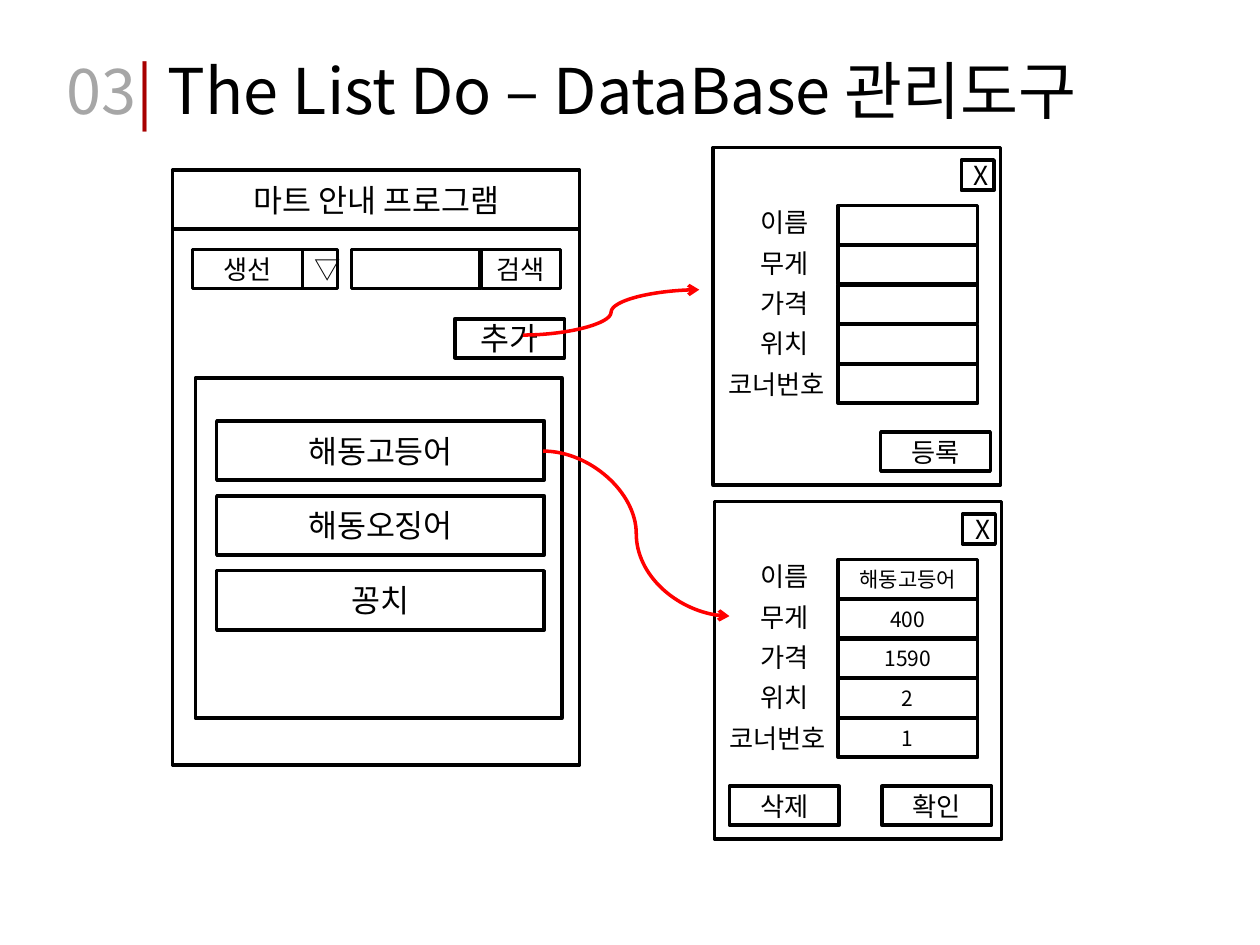
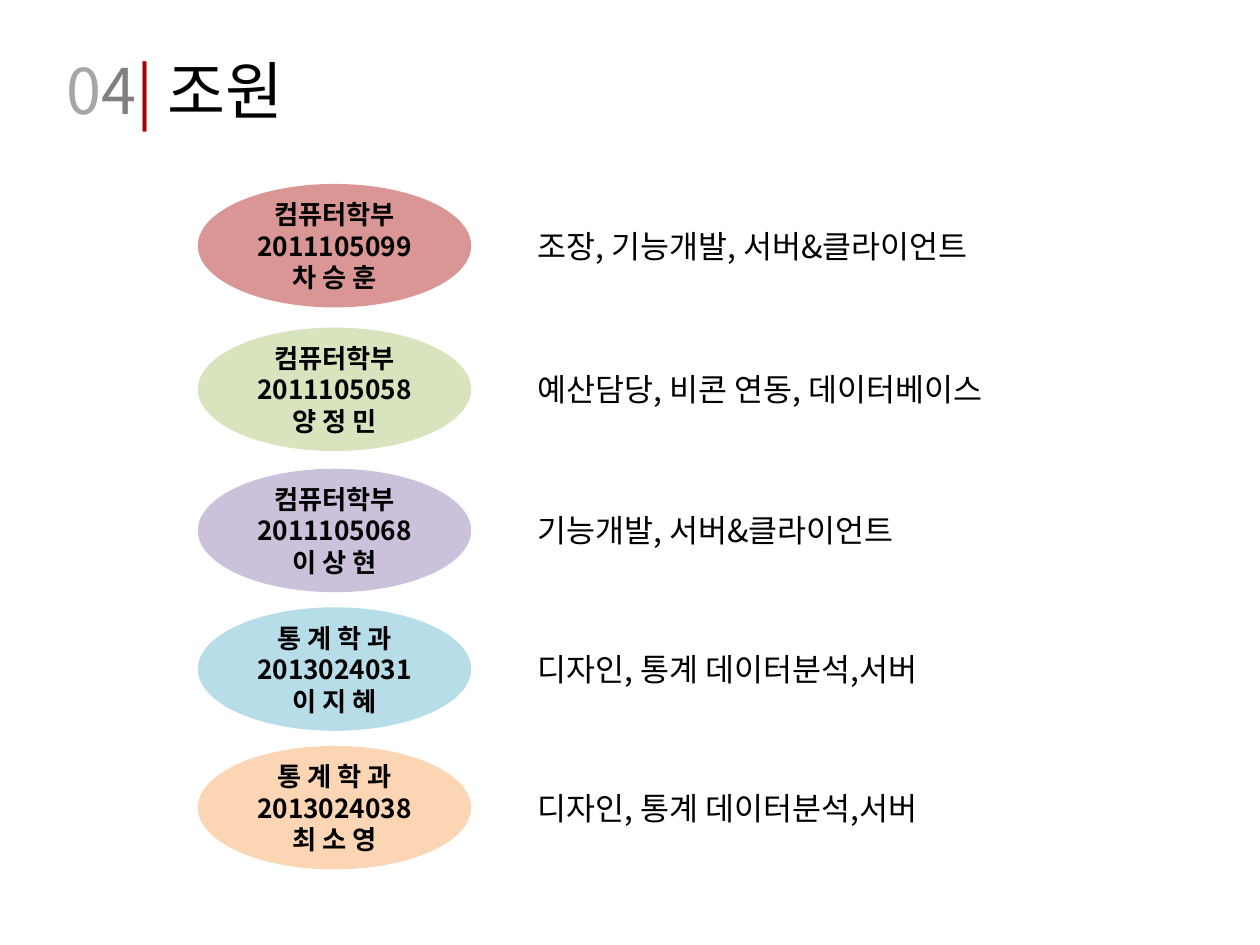
from lxml import etree
from pptx import Presentation
from pptx.dml.color import RGBColor
from pptx.enum.shapes import MSO_CONNECTOR, MSO_SHAPE
from pptx.enum.text import MSO_ANCHOR, MSO_AUTO_SIZE, PP_ALIGN
from pptx.oxml.ns import qn
from pptx.util import Inches, Pt

RECT = MSO_SHAPE.RECTANGLE
OVAL = MSO_SHAPE.OVAL
CURVE = MSO_CONNECTOR.CURVE
LEFT, CENTER = PP_ALIGN.LEFT, PP_ALIGN.CENTER
TOP, MIDDLE = MSO_ANCHOR.TOP, MSO_ANCHOR.MIDDLE
GROW = MSO_AUTO_SIZE.SHAPE_TO_FIT_TEXT
TITLE_ONLY = 5

FONT = "Noto Sans CJK KR"
BLACK, RED, BAR = "000000", "FF0000", "A80000"
LIGHT_GRAY, DARK_GRAY = "A6A6A6", "808080"

FIELD_LABELS = ["이름", "무게", "가격", "위치", "코너번호"]
PRODUCTS = ["해동고등어", "해동오징어", "꽁치"]
MEMBERS = [
    (1.46, "D99694", ["컴퓨터학부", "2011105099", "차 승 훈"],
     "조장, 기능개발, 서버&클라이언트", 4.21),
    (2.6, "D7E4BD", ["컴퓨터학부", "2011105058", "양 정 민"],
     "예산담당, 비콘 연동, 데이터베이스", 3.78),
    (3.72, "CCC1DA", ["컴퓨터학부", "2011105068", "이 상 현"],
     "기능개발, 서버&클라이언트", 3.78),
    (4.82, "B7DEE8", ["통 계 학 과", "2013024031", "이 지 혜"],
     "디자인, 통계 데이터분석,서버", 3.78),
    (5.92, "FCD5B5", ["통 계 학 과", "2013024038", "최 소 영"],
     "디자인, 통계 데이터분석,서버", 3.78),
]


def rgb(color):
    return RGBColor.from_string(color)


def box(left, top, width, height):
    return Inches(left), Inches(top), Inches(width), Inches(height)


def add_run(p, text, size, color=BLACK, bold=False):
    r = p.add_run()
    r.text = text
    r.font.size = Pt(size)
    r.font.bold = bold
    r.font.color.rgb = rgb(color)
    r.font.name = FONT
    ea = etree.SubElement(r._r.get_or_add_rPr(), qn("a:ea"))
    ea.set("typeface", FONT)


def add_title(slide, width, runs):
    title = slide.shapes.title
    title.left, title.top, title.width, title.height = box(0.43, 0.36, width, 0.71)
    tf = title.text_frame
    tf.word_wrap = False
    tf.auto_size = GROW
    tf.vertical_anchor = TOP
    p = tf.paragraphs[0]
    p.alignment = LEFT
    for text, color in runs:
        add_run(p, text, 36, color)


def add_centered(sp, lines, size, bold=False):
    tf = sp.text_frame
    tf.word_wrap = True
    tf.vertical_anchor = MIDDLE
    for i, line in enumerate(lines):
        p = tf.add_paragraph() if i else tf.paragraphs[0]
        p.alignment = CENTER
        add_run(p, line, size, bold=bold)


def add_frame(shapes, left, top, width, height, text="", size=15):
    sp = shapes.add_shape(RECT, *box(left, top, width, height))
    sp.shadow.inherit = False
    sp.fill.background()
    sp.line.color.rgb = rgb(BLACK)
    sp.line.width = Pt(2)
    if text:
        add_centered(sp, [text], size)


def add_oval(shapes, top, color, lines):
    sp = shapes.add_shape(OVAL, *box(1.57, top, 2.17, 0.98))
    sp.shadow.inherit = False
    sp.fill.solid()
    sp.fill.fore_color.rgb = rgb(color)
    sp.line.fill.background()
    add_centered(sp, lines, 15, bold=True)


def add_label(shapes, left, top, width, height, text, size):
    tf = shapes.add_textbox(*box(left, top, width, height)).text_frame
    tf.word_wrap = True
    tf.auto_size = GROW
    add_run(tf.paragraphs[0], text, size)


def add_arrow(shapes, x1, y1, x2, y2):
    cxn = shapes.add_connector(CURVE, Inches(x1), Inches(y1), Inches(x2), Inches(y2))
    cxn.line.color.rgb = rgb(RED)
    cxn.line.width = Pt(2)
    tail = etree.SubElement(cxn.line._get_or_add_ln(), qn("a:tailEnd"))
    tail.set("type", "arrow")
    etree.SubElement(cxn._element.spPr, qn("a:effectLst"))


def add_form(slide, left, top, values, buttons):
    shapes = slide.shapes.add_group_shape().shapes
    add_frame(shapes, left, top, 2.28, 2.68)
    add_frame(shapes, left + 1.97, top + 0.1, 0.26, 0.24, "X")
    for i, (label, value) in enumerate(zip(FIELD_LABELS, values)):
        x, width = (left + 0.02, 1.11) if len(label) > 2 else (5.94, 0.79)
        add_label(shapes, x, top + 0.42 + 0.32 * i, width, 0.35, label, 15)
        add_frame(shapes, 6.65, top + 0.46 + 0.315 * i, 1.11, 0.31, value, 12)
    for offset, text in buttons:
        add_frame(shapes, left + offset, top + 2.26, 0.87, 0.31, text)


def add_main_window(shapes):
    add_frame(shapes, 1.37, 1.82, 3.23, 4.25)
    add_frame(shapes, 1.37, 1.35, 3.23, 0.47, "마트 안내 프로그램", 18)
    add_frame(shapes, 1.53, 1.98, 0.87, 0.31, "생선")
    add_frame(shapes, 2.4, 1.98, 0.28, 0.31, "▽")
    add_frame(shapes, 2.79, 1.98, 1.02, 0.31)
    add_frame(shapes, 3.82, 1.98, 0.63, 0.31, "검색")
    add_frame(shapes, 3.61, 2.53, 0.87, 0.31, "추가", 18)
    add_frame(shapes, 1.55, 3, 2.91, 2.7)
    for i, product in enumerate(PRODUCTS):
        add_frame(shapes, 1.72, 3.34 + 0.595 * i, 2.6, 0.47, product, 18)


def build_tool_slide(slide):
    add_title(slide, 8.5, [("03", LIGHT_GRAY), ("|", BAR),
                           (" The List Do – DataBase 관리도구", BLACK)])
    add_main_window(slide.shapes)
    add_form(slide, 5.67, 3.98, ["해동고등어", "400", "1590", "2", "1"],
             [(0.12, "삭제"), (1.33, "확인")])
    add_form(slide, 5.66, 1.17, [""] * len(FIELD_LABELS), [(1.33, "등록")])
    add_arrow(slide.shapes, 4.15, 2.66, 5.55, 2.3)
    add_arrow(slide.shapes, 4.31, 3.58, 5.79, 4.89)


def build_team_slide(slide):
    add_title(slide, 2.14, [("0", LIGHT_GRAY), ("4", DARK_GRAY),
                            ("| ", BAR), ("조원", BLACK)])
    for top, color, lines, role, width in MEMBERS:
        add_oval(slide.shapes, top, color, lines)
        add_label(slide.shapes, 4.17, top + 0.29, width, 0.4, role, 18)


def main():
    prs = Presentation()
    prs.slide_width, prs.slide_height = Inches(10), Inches(7.5)
    for build in (build_tool_slide, build_team_slide):
        build(prs.slides.add_slide(prs.slide_layouts[TITLE_ONLY]))
    prs.save("out.pptx")


if __name__ == "__main__":
    main()
